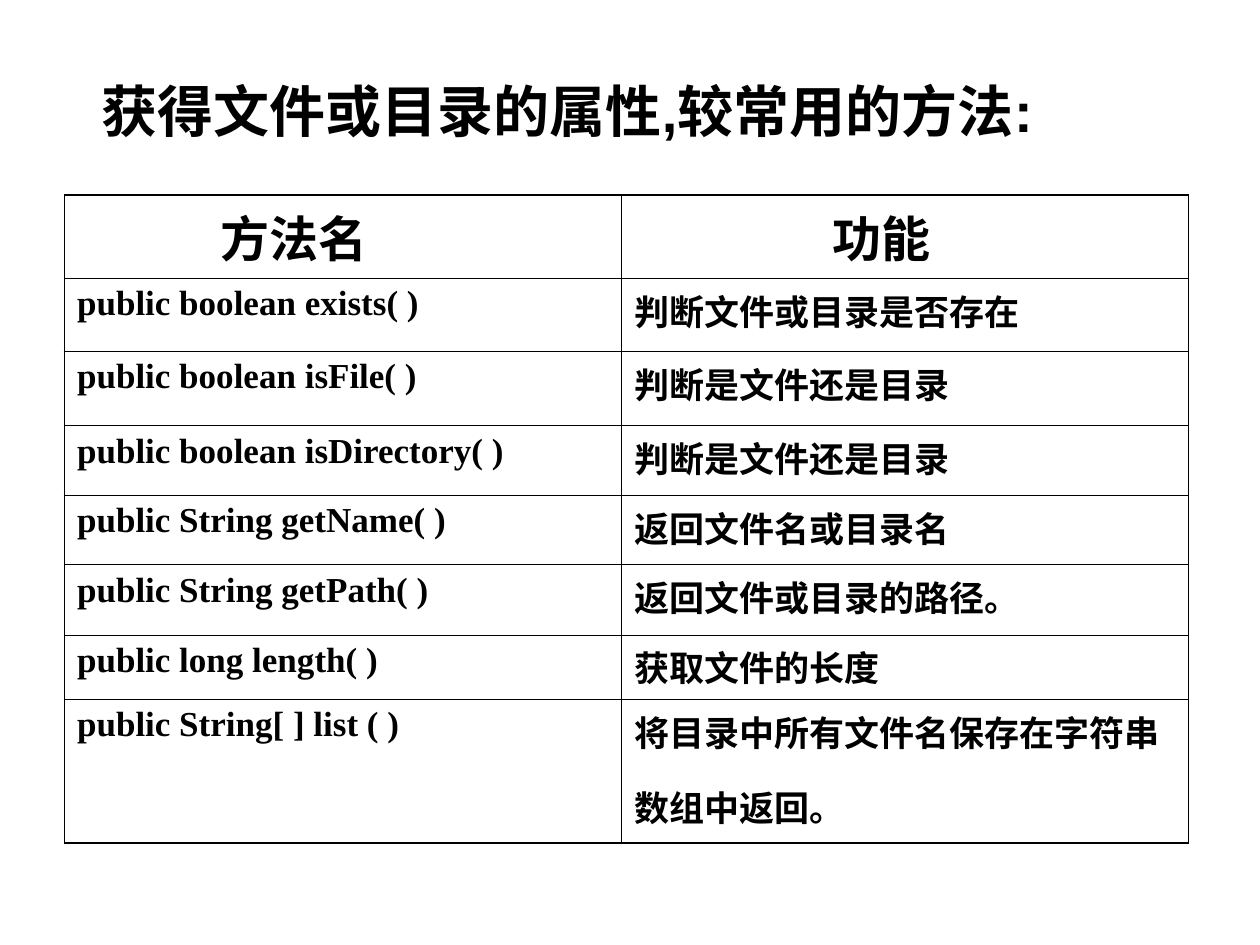
from dataclasses import dataclass

from lxml import etree
from pptx import Presentation
from pptx.dml.color import RGBColor
from pptx.enum.text import MSO_ANCHOR, PP_ALIGN
from pptx.oxml.ns import qn
from pptx.util import Cm, Pt


@dataclass(frozen=True)
class Theme:
    ink: str = "000000"
    sans: str = "Arial"
    serif: str = "Times New Roman"
    title_size: int = 32
    header_size: int = 28
    body_size: int = 20
    outer_line: float = 1.08
    inner_line: float = 0.45


THEME = Theme()

TITLE = "获得文件或目录的属性,较常用的方法:"
HEADERS = ("方法名", "功能")
METHODS = [
    ("public boolean exists( )", "判断文件或目录是否存在"),
    ("public boolean isFile( )", "判断是文件还是目录"),
    ("public boolean isDirectory( )", "判断是文件还是目录"),
    ("public String getName( )", "返回文件名或目录名"),
    ("public String getPath( )", "返回文件或目录的路径。"),
    ("public long length( )", "获取文件的长度"),
    ("public String[ ] list ( )", "将目录中所有文件名保存在字符串数组中返回。"),
]
COLUMN_WIDTHS = (11.23, 11.43)
ROW_HEIGHTS = (1.68, 1.47, 1.5, 1.4, 1.4, 1.42, 1.3, 2.9)
HEADER_INDENTS = (3.15, 4.26)


def set_font(font, family, size):
    font.name = family
    font.size = Pt(size)
    font.bold = True
    font.color.rgb = RGBColor.from_string(THEME.ink)


def add_title(slide, left, top, width, height):
    title = slide.shapes.add_textbox(Cm(left), Cm(top), Cm(width), Cm(height))
    frame = title.text_frame
    frame.word_wrap = True
    frame.vertical_anchor = MSO_ANCHOR.MIDDLE
    paragraph = frame.paragraphs[0]
    paragraph.text = TITLE
    paragraph.alignment = PP_ALIGN.CENTER
    set_font(paragraph.font, THEME.sans, THEME.title_size)


def set_borders(cell, outer_sides):
    """Rule all four sides, with the heavier line on the table's edge."""
    properties = cell._tc.get_or_add_tcPr()
    for side in "LRTB":
        weight = THEME.outer_line if side in outer_sides else THEME.inner_line
        line = etree.SubElement(properties, qn(f"a:ln{side}"), w=str(Pt(weight)))
        fill = etree.SubElement(line, qn("a:solidFill"))
        etree.SubElement(fill, qn("a:srgbClr"), val=THEME.ink)


def add_method_table(slide, left, top):
    rows = [HEADERS, *METHODS]
    table = slide.shapes.add_table(
        len(rows), len(HEADERS), Cm(left), Cm(top),
        Cm(sum(COLUMN_WIDTHS)), Cm(sum(ROW_HEIGHTS)),
    ).table
    table.first_row = table.horz_banding = False
    for column, width in zip(table.columns, COLUMN_WIDTHS):
        column.width = Cm(width)
    for row, height in zip(table.rows, ROW_HEIGHTS):
        row.height = Cm(height)

    for r, row in enumerate(rows):
        for c, wording in enumerate(row):
            cell = table.cell(r, c)
            edges = "L" if c == 0 else "R"
            if r == 0:
                edges += "T"
            elif r == len(rows) - 1:
                edges += "B"
            set_borders(cell, edges)
            cell.fill.background()

            paragraph = cell.text_frame.paragraphs[0]
            paragraph.text = wording
            if r == 0:
                cell.margin_left = Cm(HEADER_INDENTS[c])
                set_font(paragraph.font, THEME.serif, THEME.header_size)
            else:
                family = THEME.serif if c == 0 else THEME.sans
                set_font(paragraph.font, family, THEME.body_size)

    # A larger closing space opens up the second line of the last description.
    closing = paragraph.add_run()
    closing.text = " "
    closing.font.size = Pt(THEME.title_size)


def main():
    deck = Presentation()
    deck.slide_width, deck.slide_height = Cm(25.4), Cm(19.05)
    slide = deck.slides.add_slide(deck.slide_layouts[6])
    add_title(slide, 0, 0.91, 22.86, 2.64)
    add_method_table(slide, 1.3, 3.93)
    deck.save("out.pptx")


if __name__ == "__main__":
    main()
